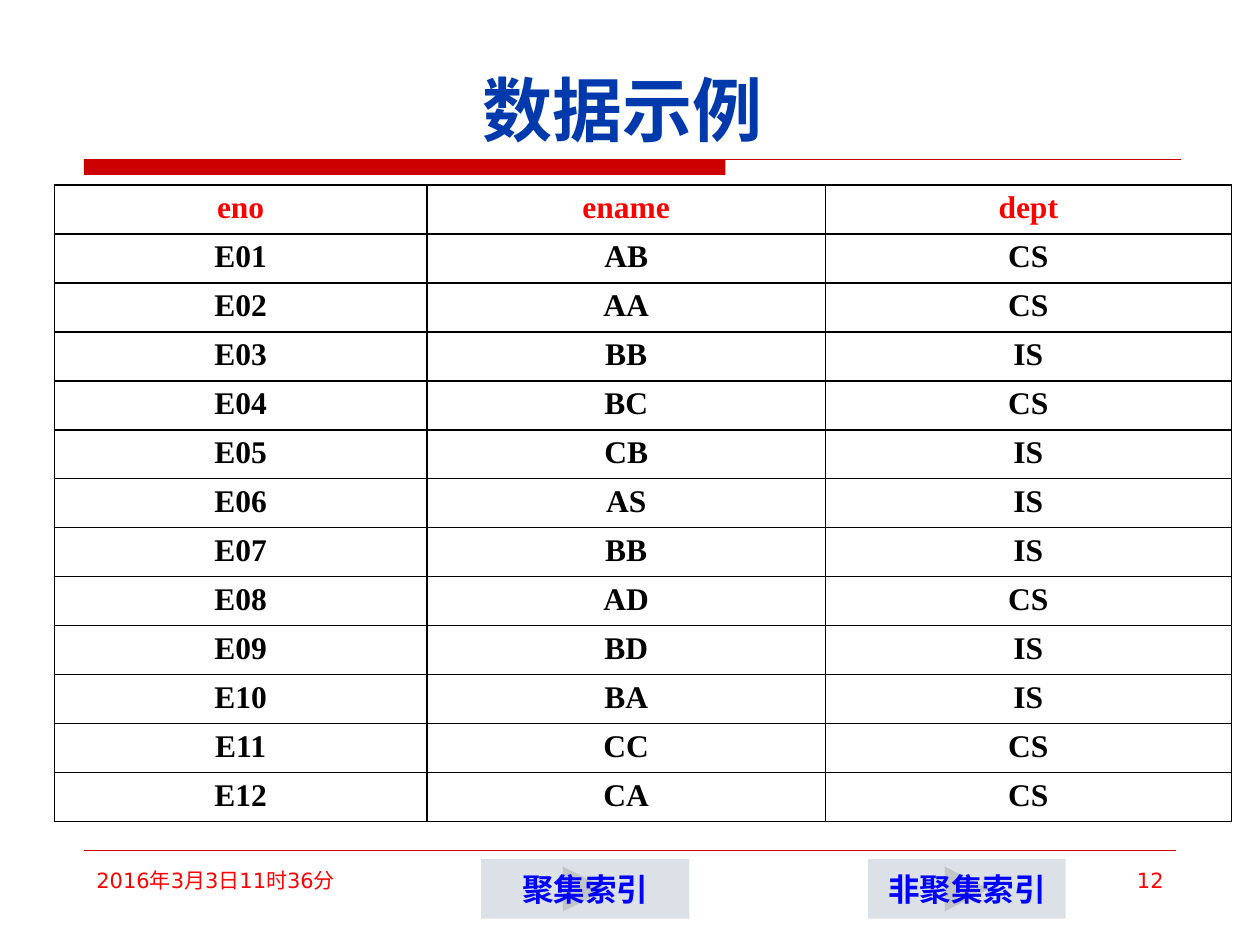
from lxml.etree import SubElement
from pptx import Presentation
from pptx.dml.color import RGBColor
from pptx.enum.shapes import MSO_CONNECTOR, MSO_SHAPE
from pptx.enum.text import MSO_ANCHOR, PP_ALIGN
from pptx.oxml.ns import qn
from pptx.util import Pt

TITLE = "数据示例"
HEAD = ("eno", "ename", "dept")
STAFF = [
    ("E01", "AB", "CS"),
    ("E02", "AA", "CS"),
    ("E03", "BB", "IS"),
    ("E04", "BC", "CS"),
    ("E05", "CB", "IS"),
    ("E06", "AS", "IS"),
    ("E07", "BB", "IS"),
    ("E08", "AD", "CS"),
    ("E09", "BD", "IS"),
    ("E10", "BA", "IS"),
    ("E11", "CC", "CS"),
    ("E12", "CA", "CS"),
]
BUTTONS = [("聚集索引", 275, 119), ("非聚集索引", 496, 113)]
DATE = "2016年3月3日11时36分"
PAGE = "12"

CJK = "Noto Sans CJK SC"
SANS = "DejaVu Sans"
SERIF = "Times New Roman"
THEME = {
    "title": dict(size=40, name=CJK, color="0039AC", bold=True),
    "head": dict(size=18, name=SERIF, color="FF0000", bold=True),
    "body": dict(size=18, name=SERIF, color="000000", bold=True),
    "button": dict(size=18, name=SANS, color="0000FF", bold=True),
    "foot": dict(size=12, name=SANS, color="FF0000", bold=False),
    "rule": "CC0000",
    "key": "A3B2C1",
    "grid": "000000",
}
LEFT, RIGHT = 48, 672
RULE_TOP = 91.2
COLS = (213, 227.6, 232)
ROW = 27.16
INDENT = 27


def rgb(code):
    return RGBColor.from_string(code)


def write(frame, text, style, align):
    look = THEME[style]
    para = frame.paragraphs[0]
    para.alignment = align
    run = para.add_run()
    run.text = text
    font = run.font
    values = dict(size=Pt(look["size"]), name=look["name"], bold=look["bold"])
    for key, value in values.items():
        setattr(font, key, value)
    font.color.rgb = rgb(look["color"])
    SubElement(run._r.get_or_add_rPr(), qn("a:ea"), typeface=CJK)
    return para


def label(slide, box, text, style, align, anchor=MSO_ANCHOR.TOP):
    frame = slide.shapes.add_textbox(*map(Pt, box)).text_frame
    frame.word_wrap = True
    frame.vertical_anchor = anchor
    write(frame, text, style, align)


def block(slide, kind, box, color):
    shape = slide.shapes.add_shape(kind, *map(Pt, box))
    shape.shadow.inherit = False
    shape.fill.solid()
    shape.fill.fore_color.rgb = rgb(color)
    shape.line.fill.background()
    return shape


def rule(slide, left, right, top, width):
    line = slide.shapes.add_connector(
        MSO_CONNECTOR.STRAIGHT, Pt(left), Pt(top), Pt(right), Pt(top))
    line.line.color.rgb = rgb(THEME["rule"])
    line.line.width = Pt(width)
    SubElement(line._element.spPr, qn("a:effectLst"))


def button(slide, text, left, width):
    shape = block(slide, MSO_SHAPE.ACTION_BUTTON_FORWARD_OR_NEXT,
                  (left, 491, width, 34), THEME["key"])
    tint = next(shape._element.spPr.iter(qn("a:srgbClr")))
    SubElement(tint, qn("a:alpha"), val="39000")
    shape.text_frame.word_wrap = False
    shape.text_frame.vertical_anchor = MSO_ANCHOR.MIDDLE
    write(shape.text_frame, text, "button", PP_ALIGN.CENTER)


def frame_cell(cell):
    """Draw a 1 pt line on all four sides, with no fill."""
    props = cell._tc.get_or_add_tcPr()
    for side in ("lnL", "lnR", "lnT", "lnB"):
        edge = SubElement(props, qn("a:" + side), w=str(Pt(1)))
        fill = SubElement(edge, qn("a:solidFill"))
        SubElement(fill, qn("a:srgbClr"), val=THEME["grid"])
    cell.fill.background()


def staff_table(slide):
    rows = [HEAD] + STAFF
    table = slide.shapes.add_table(
        len(rows), len(COLS), Pt(31), Pt(105.7),
        Pt(sum(COLS)), Pt(ROW * len(rows))).table
    table.first_row = table.horz_banding = False
    for col, width in zip(table.columns, COLS):
        col.width = Pt(width)
    for r, row in enumerate(rows):
        table.rows[r].height = Pt(ROW)
        for c, text in enumerate(row):
            cell = table.cell(r, c)
            cell.margin_top = cell.margin_bottom = Pt(3.2)
            para = write(cell.text_frame, text, "body" if r else "head",
                         PP_ALIGN.CENTER)
            props = para._p.get_or_add_pPr()
            props.set("marL", str(Pt(INDENT)))
            props.set("indent", str(Pt(-INDENT)))
            frame_cell(cell)


def main():
    deck = Presentation()
    deck.slide_width, deck.slide_height = Pt(720), Pt(540)
    slide = deck.slides.add_slide(deck.slide_layouts[6])

    block(slide, MSO_SHAPE.RECTANGLE, (LEFT, RULE_TOP, 366.5, 8.8),
          THEME["rule"])
    rule(slide, LEFT, 674.6, RULE_TOP, 0.75)
    rule(slide, LEFT, RIGHT, 486, 0.25)
    label(slide, (19.4, 31.7, 672.5, 57.6), TITLE, "title",
          PP_ALIGN.CENTER, MSO_ANCHOR.BOTTOM)
    staff_table(slide)
    for text, left, width in BUTTONS:
        button(slide, text, left, width)
    label(slide, (LEFT, 492, 156, 37.5), DATE, "foot", PP_ALIGN.LEFT)
    label(slide, (RIGHT - 63, 492, 63, 37.5), PAGE, "foot", PP_ALIGN.RIGHT)
    deck.save("out.pptx")


if __name__ == "__main__":
    main()
